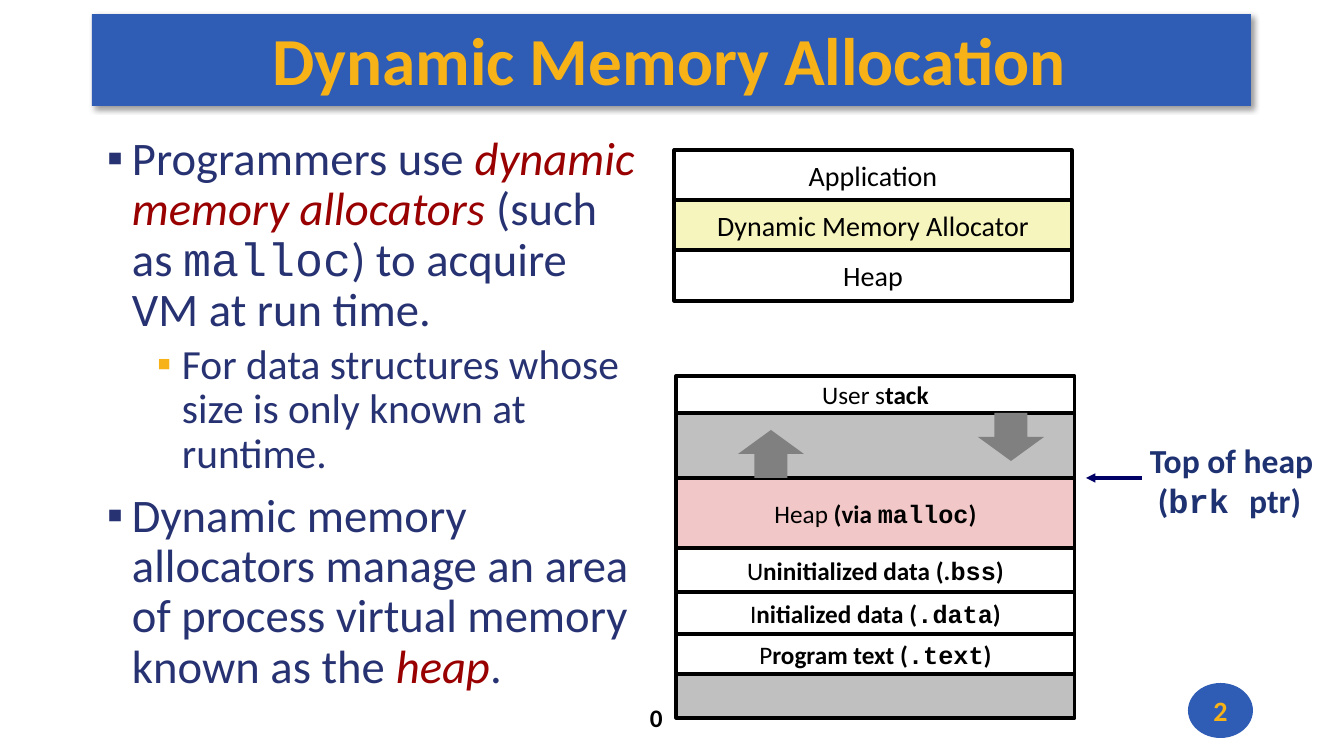
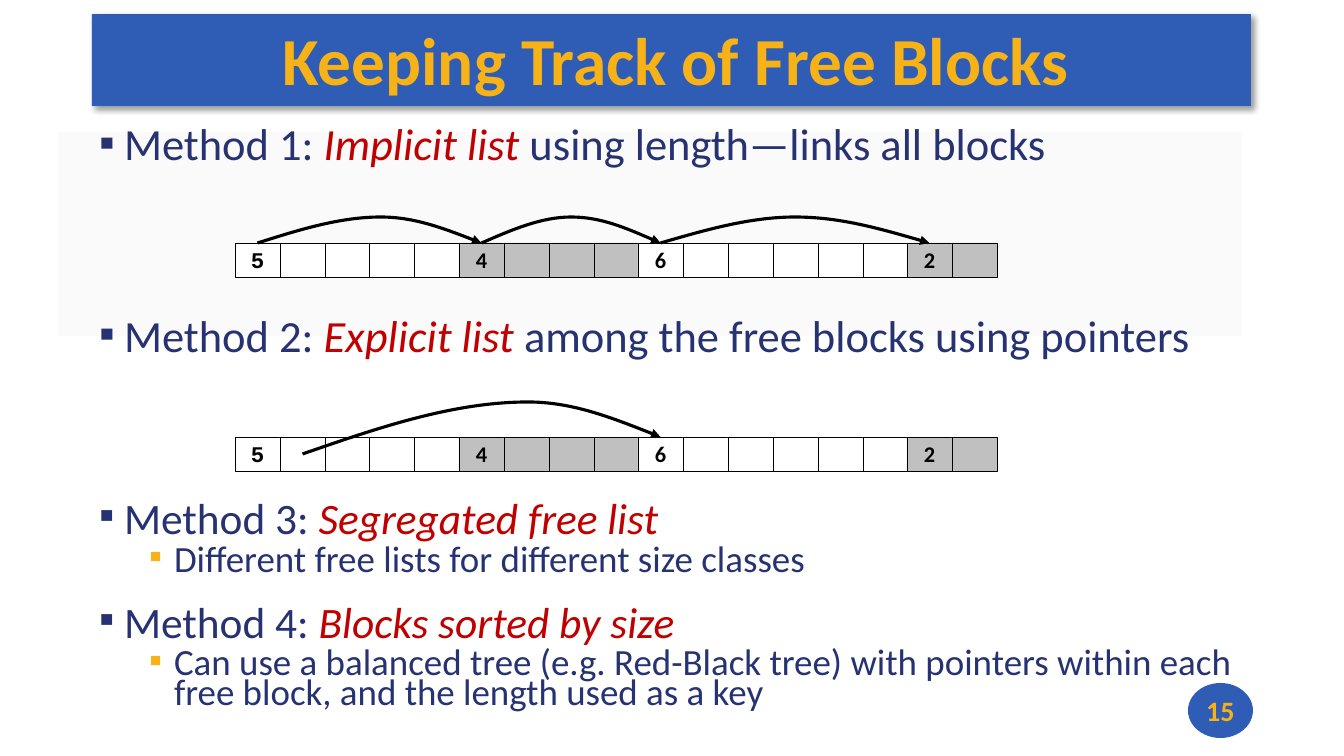
from dataclasses import dataclass
from itertools import accumulate

from lxml.etree import SubElement
from pptx import Presentation
from pptx.dml.color import RGBColor
from pptx.enum.shapes import MSO_CONNECTOR, MSO_SHAPE
from pptx.enum.text import MSO_ANCHOR, MSO_AUTO_SIZE, PP_ALIGN
from pptx.oxml.ns import qn
from pptx.util import Pt

SCALE = 914400 / 100.8  # EMU in one px


@dataclass(frozen=True)
class Theme:
    blue: str = "2F5CB5"
    gold: str = "F7B217"
    navy: str = "273272"
    label_navy: str = "1E3272"
    arrow_navy: str = "000066"
    dark_red: str = "990000"
    red: str = "C00000"
    black: str = "000000"
    white: str = "FFFFFF"
    pale: str = "FAFAFA"
    gray: str = "C0C0C0"
    arrow_gray: str = "808080"
    yellow: str = "F6F5BD"
    pink: str = "F1C7C7"
    font: str = "Calibri"
    code_font: str = "Courier New"
    bullet_font: str = "Arial"
    title: float = 48
    callout: float = 24
    layer: float = 20
    region: float = 18
    block: float = 16
    outline: float = 2.25
    hairline: float = 0.25


THEME = Theme()
BOLD = {"bold": True}
CODE = {"name": THEME.code_font}
BOLD_CODE = {**BOLD, **CODE}


def px(*lengths):
    return [round(length * SCALE) for length in lengths]


def rgb(color):
    return RGBColor.from_string(color)


def set_attributes(target, formats):
    for name, value in formats.items():
        setattr(target, name, value)


def format_frame(frame, margins=(10, 5, 10, 5), **formats):
    sides = ("margin_left", "margin_top", "margin_right", "margin_bottom")
    set_attributes(frame, {"auto_size": MSO_AUTO_SIZE.NONE, "word_wrap": True,
                           **dict(zip(sides, px(*margins))), **formats})


def write_runs(paragraph, runs, size, color):
    """Add runs, each a string or a (string, font overrides) pair."""
    for item in [runs] if isinstance(runs, str) else runs:
        text, overrides = (item, {}) if isinstance(item, str) else item
        formats = {"name": THEME.font, "size": Pt(size), **overrides}
        run_color = formats.pop("color", color)
        run = paragraph.add_run()
        run.text = text
        set_attributes(run.font, formats)
        run.font.color.rgb = rgb(run_color)


def add_box(slide, box, fill, kind=MSO_SHAPE.RECTANGLE, outline=None,
            runs=(), size=THEME.region, color=THEME.black):
    shape = slide.shapes.add_shape(kind, *px(*box))
    shape.shadow.inherit = False
    shape.fill.solid()
    shape.fill.fore_color.rgb = rgb(fill)
    if outline:
        shape.line.color.rgb = rgb(THEME.black)
        shape.line.width = Pt(outline)
    else:
        shape.line.fill.background()
    if runs:
        format_frame(shape.text_frame, (0, 0, 0, 0),
                     vertical_anchor=MSO_ANCHOR.MIDDLE)
        paragraph = shape.text_frame.paragraphs[0]
        paragraph.alignment = PP_ALIGN.CENTER
        write_runs(paragraph, runs, size, color)
    return shape


def add_label(slide, box, lines, size, color):
    """Place bold lines, each given as (indent in px, runs)."""
    frame = slide.shapes.add_textbox(*px(*box)).text_frame
    format_frame(frame, word_wrap=False)
    for index, (indent, runs) in enumerate(lines):
        paragraph = frame.add_paragraph() if index else frame.paragraphs[0]
        paragraph.line_spacing = 0.98
        if indent:
            paragraph._p.get_or_add_pPr().set("marL", str(px(indent)[0]))
        write_runs(paragraph, runs, size, color)


def add_titled_slide(presentation, title, number):
    slide = presentation.slides.add_slide(presentation.slide_layouts[5])
    band = slide.shapes.title
    set_attributes(band, dict(zip(("left", "top", "width", "height"),
                                  px(92, 14, 1159, 92))))
    band.fill.solid()
    band.fill.fore_color.rgb = rgb(THEME.blue)
    band.shadow.inherit = False
    effects = band._element.spPr.find(qn("a:effectLst"))
    shadow = SubElement(effects, qn("a:outerShdw"), blurRad=str(Pt(4)),
                        dist=str(Pt(3)), dir="2700000", algn="tl", rotWithShape="0")
    shadow_color = SubElement(shadow, qn("a:srgbClr"), val=THEME.black)
    SubElement(shadow_color, qn("a:alpha"), val="40000")
    format_frame(band.text_frame, (8, 2, 0, 4), vertical_anchor=MSO_ANCHOR.MIDDLE)
    paragraph = band.text_frame.paragraphs[0]
    paragraph.alignment = PP_ALIGN.CENTER
    write_runs(paragraph, [(title, BOLD)], THEME.title, THEME.gold)
    add_box(slide, (1188, 683, 65, 55), THEME.blue, MSO_SHAPE.OVAL,
            runs=[(number, BOLD)], size=THEME.layer, color=THEME.gold)
    return slide


def add_bullets(slide, box, items):
    """Place items given as (level, size, line spacing, points before, runs)."""
    frame = slide.shapes.add_textbox(*px(*box)).text_frame
    format_frame(frame)
    for index, (level, size, spacing, before, runs) in enumerate(items):
        paragraph = frame.add_paragraph() if index else frame.paragraphs[0]
        properties = paragraph._p.get_or_add_pPr()
        hang, = px(25)
        properties.set("marL", str(hang * (1 + 2 * level)))
        properties.set("indent", str(-hang))
        bullet_color = SubElement(properties, qn("a:buClr"))
        SubElement(bullet_color, qn("a:srgbClr"),
                   val=THEME.gold if level else THEME.navy)
        SubElement(properties, qn("a:buFont"), typeface=THEME.bullet_font)
        SubElement(properties, qn("a:buChar"), char="▪")
        set_attributes(paragraph, {"level": level, "line_spacing": spacing,
                                   "space_before": Pt(before)})
        write_runs(paragraph, runs, size, THEME.navy)


def add_stacked_rows(slide, left, top, width, rows, size):
    """Stack outlined rows, each given as (height, fill, runs)."""
    tops = accumulate((row[0] for row in rows), initial=top)
    for row_top, (height, fill, runs) in zip(tops, rows):
        add_box(slide, (left, row_top, width, height), fill,
                outline=THEME.outline, runs=runs, size=size)


def add_arrowhead(shape):
    line = shape.line._get_or_add_ln()
    SubElement(line, qn("a:tailEnd"), type="triangle")


def add_memory_map(slide, left, top, width):
    white, gray = THEME.white, THEME.gray
    add_stacked_rows(slide, left, top, width, [
        (37, white, ["User s", ("tack", BOLD)]),
        (65, gray, ()),
        (70, THEME.pink, ["Heap ", ("(via ", BOLD), ("malloc", BOLD_CODE), (")", BOLD)]),
        (44, white, ["U", ("ninitialized data (.", BOLD), ("bss", BOLD_CODE), (")", BOLD)]),
        (42, white, ["I", ("nitialized data (", BOLD), (".data", BOLD_CODE), (")", BOLD)]),
        (40, white, ["P", ("rogram text (", BOLD), (".text", BOLD_CODE), (")", BOLD)]),
        (44, gray, ()),
    ], THEME.region)
    for kind, x, y in ((MSO_SHAPE.DOWN_ARROW, 302, 37), (MSO_SHAPE.UP_ARROW, 62, 54)):
        add_box(slide, (left + x, top + y, 66, 48), THEME.arrow_gray, kind)
    add_label(slide, (left - 36, top + 323, 33, 40), [(0, [("0", BOLD)])],
              THEME.region, THEME.black)
    add_label(slide, (left + 464, top + 61, 184, 91),
              [(0, [("Top of heap", BOLD)]),
               (8, [("(", BOLD), ("brk ", BOLD_CODE), ("ptr)", BOLD)])],
              THEME.callout, THEME.label_navy)
    heap_top = top + 102
    arrow = slide.shapes.add_connector(
        MSO_CONNECTOR.STRAIGHT,
        *px(left + 466, heap_top, left + 410, heap_top))
    arrow.line.color.rgb = rgb(THEME.arrow_navy)
    arrow.line.width = Pt(THEME.outline)
    add_arrowhead(arrow)
    SubElement(arrow._element.spPr, qn("a:effectLst"))


def add_block_row(slide, left, top, width, height):
    """Draw the blocks and return the centre x of every cell."""
    blocks = ((5, THEME.white, THEME.code_font), (4, THEME.gray, THEME.font),
              (6, THEME.white, THEME.font), (2, THEME.gray, THEME.font))
    cells = [(fill, [(str(length), {**BOLD, "name": font})] if index == 0 else ())
             for length, fill, font in blocks for index in range(length)]
    edges = [left + round(index * width / len(cells))
             for index in range(len(cells) + 1)]
    for start, end, (fill, runs) in zip(edges, edges[1:], cells):
        add_box(slide, (start, top, end - start, height), fill,
                outline=THEME.hairline, runs=runs, size=THEME.block)
    return [(start + end) / 2 for start, end in zip(edges, edges[1:])]


def add_arc(slide, start, end, crest, peak=0.5):
    """Draw a curved arrow with its crest at the share `peak` of the way."""
    (start_x, start_y), (end_x, end_y) = start, end
    shares = (0, peak / 3, peak * 2 / 3, peak,
              (1 + 2 * peak) / 3, (2 + peak) / 3, 1)
    heights = (start_y, (start_y + crest) / 2, crest, crest,
               crest, (end_y + crest) / 2, end_y)
    points = [px(start_x + share * (end_x - start_x), y)
              for share, y in zip(shares, heights)]
    builder = slide.shapes.build_freeform(*points[0])
    builder.add_line_segments(points[1:], close=False)
    arc = builder.convert_to_shape()
    outline = arc._element.find(".//" + qn("a:path"))
    segments = outline.findall(qn("a:lnTo"))
    for index in range(0, len(segments), 3):
        curve = SubElement(outline, qn("a:cubicBezTo"))
        for segment in segments[index:index + 3]:
            curve.append(segment[0])
            outline.remove(segment)
    arc.shadow.inherit = False
    arc.fill.background()
    arc.line.color.rgb = rgb(THEME.black)
    arc.line.width = Pt(THEME.outline)
    add_arrowhead(arc)


def add_implicit_list(slide, left, top, width, height):
    centers = add_block_row(slide, left, top, width, height)
    for source, target, peak in ((0, 5, 0.55), (5, 9, 0.5), (9, 15, 0.5)):
        add_arc(slide, (centers[source], top), (centers[target], top),
                top - 26, peak)


def add_explicit_list(slide, left, top, width, height):
    centers = add_block_row(slide, left, top, width, height)
    add_arc(slide, (centers[1], top + height / 2), (centers[9], top),
            top - 35, 0.63)


def build_allocation_slide(presentation):
    slide = add_titled_slide(presentation, "Dynamic Memory Allocation\t", "2")
    term = {"italic": True, "color": THEME.dark_red}
    add_bullets(slide, (97, 130, 557, 568), [
        (0, 33.3, 0.9, 0, ["Programmers use ", ("dynamic memory allocators ", term),
                           "(such as ", ("malloc", CODE),
                           ") to acquire VM at run time."]),
        (1, 29.6, 0.9, 5, "For data structures whose size is only known at runtime."),
        (0, 33.3, 0.9, 10, ["Dynamic memory allocators manage an area of process "
                            "virtual memory known as the ", ("heap", term), "."]),
    ])
    add_stacked_rows(slide, 674, 150, 398, [
        (50, THEME.white, "Application"),
        (50, THEME.yellow, "Dynamic Memory Allocator"),
        (51, THEME.white, "Heap"),
    ], THEME.layer)
    add_memory_map(slide, 676, 376, 399)


def build_free_blocks_slide(presentation):
    slide = add_titled_slide(presentation, "Keeping Track of Free Blocks", "15")
    term = {"italic": True, "color": THEME.red}
    add_box(slide, (58, 132, 1184, 204), THEME.pale)
    add_bullets(slide, (89, 126, 1164, 593), [
        (0, 31.8, 0.7, 0, ["Method 1: ", ("Implicit list ", term),
                           "using length—links all blocks"]),
        (0, 31.8, 0.7, 110, ["Method 2: ", ("Explicit list ", term),
                             "among the free blocks using pointers"]),
        (0, 31, 0.63, 106, ["Method 3: ", ("Segregated free list", term)]),
        (1, 26.4, 0.68, 5, "Different free lists for different size classes"),
        (0, 31, 0.63, 24, ["Method 4: ", ("Blocks sorted by size", term)]),
        (1, 26.4, 0.68, 5, "Can use a balanced tree (e.g. Red-Black tree) with pointers "
                           "within each free block, and the length used as a key"),
    ])
    add_implicit_list(slide, 235, 243, 762, 34)
    add_explicit_list(slide, 235, 437, 762, 34)


def main():
    presentation = Presentation()
    presentation.slide_width, presentation.slide_height = px(1344, 756)
    build_allocation_slide(presentation)
    build_free_blocks_slide(presentation)
    presentation.save("out.pptx")


if __name__ == "__main__":
    main()
